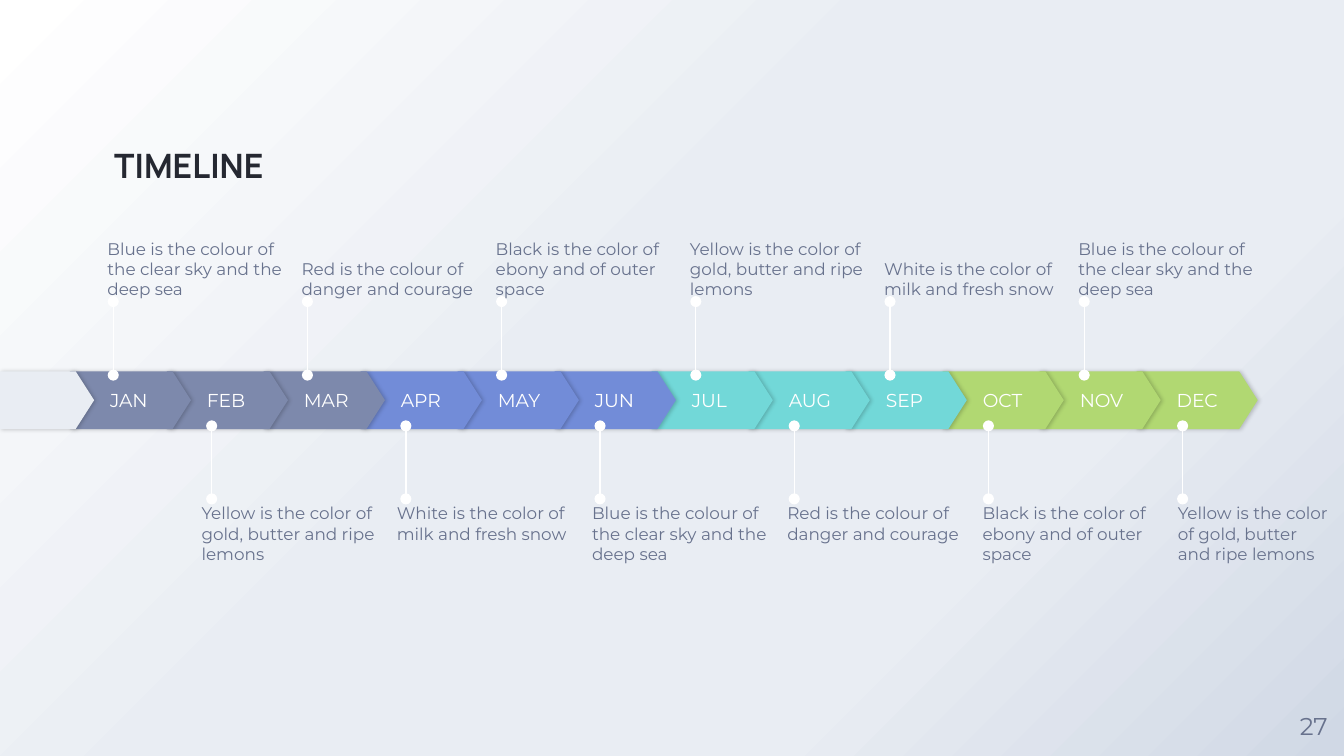
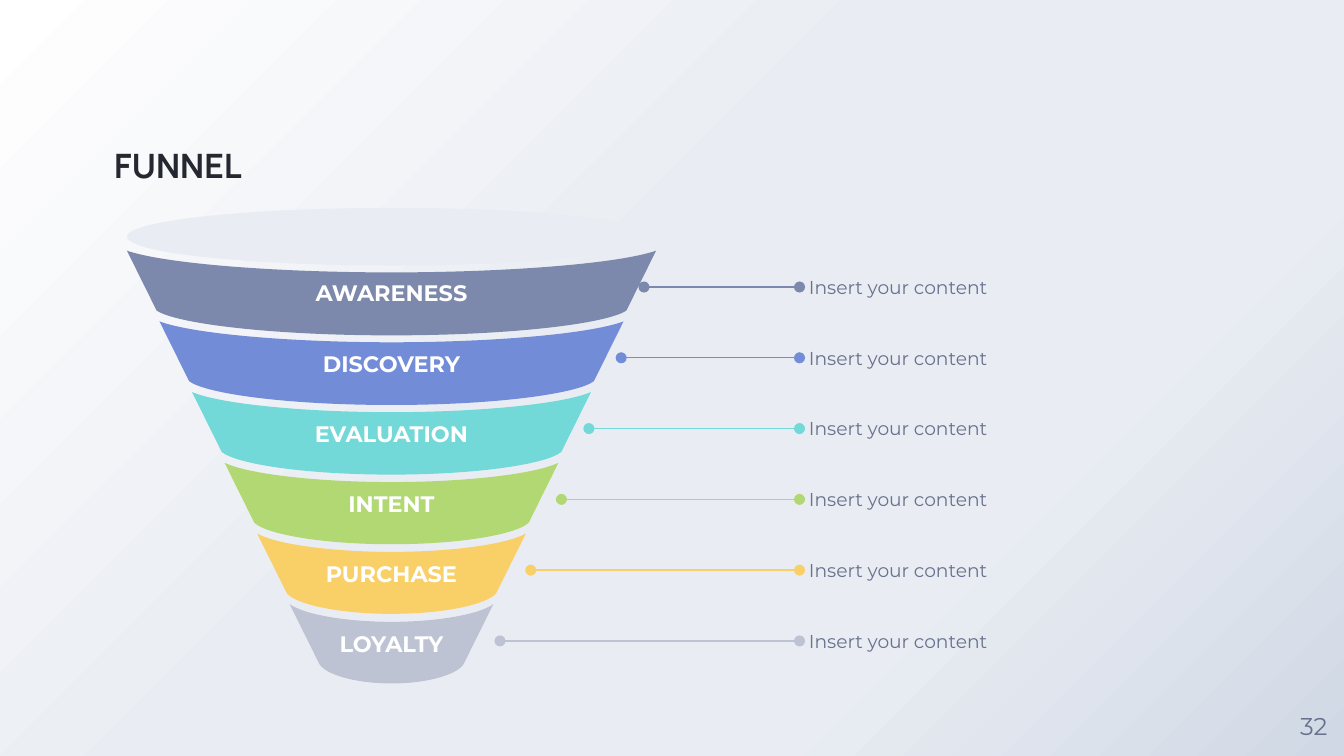
from dataclasses import dataclass

from pptx import Presentation
from pptx.dml.color import RGBColor
from pptx.enum.shapes import MSO_CONNECTOR as Connector, MSO_SHAPE as Preset
from pptx.enum.text import MSO_ANCHOR as Anchor, PP_ALIGN as Align
from pptx.oxml import parse_xml
from pptx.oxml.ns import nsdecls
from pptx.util import Cm, Pt


@dataclass(frozen=True)
class Theme:
    heading_font: str = "Manrope"
    body_font: str = "Montserrat"
    ink: str = "252831"
    muted: str = "68728D"
    white: str = "FFFFFF"
    mist: str = "E9EDF3"
    haze: str = "D0D8E5"
    slate: str = "7D89AC"
    blue: str = "728CD8"
    teal: str = "72D8D8"
    green: str = "B1D872"
    yellow: str = "F8D067"
    silver: str = "BDC3D3"
    title_size: float = 18
    number_size: float = 13
    stage_size: float = 12
    label_size: float = 10
    caption_size: float = 9
    line_width: float = 0.75


@dataclass(frozen=True)
class Box:
    """Left, top, width and height in centimetres."""
    left: float
    top: float
    width: float
    height: float

    def lengths(self):
        return Cm(self.left), Cm(self.top), Cm(self.width), Cm(self.height)


THEME = Theme()
PAGE = Box(0, 0, 25.4, 14.29)

MONTHS = ["JAN", "FEB", "MAR", "APR", "MAY", "JUN",
          "JUL", "AUG", "SEP", "OCT", "NOV", "DEC"]
QUARTER_COLOURS = [THEME.slate, THEME.blue, THEME.teal, THEME.green]
BLUE = "Blue is the colour of the clear sky and the deep sea"
YELLOW = "Yellow is the color of gold, butter and ripe lemons"
RED = "Red is the colour of danger and courage"
WHITE = "White is the color of milk and fresh snow"
BLACK = "Black is the color of ebony and of outer space"
UPPER_CAPTIONS = [BLUE, RED, BLACK, YELLOW, WHITE, BLUE]
LOWER_CAPTIONS = [YELLOW, WHITE, BLUE, RED, BLACK, YELLOW]

# stage, colour, length of its leader line
STAGES = [
    ("AWARENESS", THEME.slate, 2.94),
    ("DISCOVERY", THEME.blue, 3.37),
    ("EVALUATION", THEME.teal, 3.98),
    ("INTENT", THEME.green, 4.5),
    ("PURCHASE", THEME.yellow, 5.08),
    ("LOYALTY", THEME.silver, 5.66),
]


def rgb(colour):
    return RGBColor.from_string(colour)


def write(shape, text, size, colour, font=THEME.body_font, bold=False,
          align=Align.LEFT, anchor=Anchor.MIDDLE, inset=0):
    frame = shape.text_frame
    frame.text = text
    frame.word_wrap = True
    frame.vertical_anchor = anchor
    frame.margin_left = Cm(inset)
    frame.margin_top = frame.margin_right = frame.margin_bottom = 0
    paragraph = frame.paragraphs[0]
    paragraph.alignment = align
    for run in paragraph.runs:
        run.font.name = font
        run.font.size = Pt(size)
        run.font.bold = bold
        run.font.color.rgb = rgb(colour)


def add_text(slide, box, text, size, colour, **style):
    write(slide.shapes.add_textbox(*box.lengths()), text, size, colour, **style)


def paint(shape, colour):
    shape.shadow.inherit = False
    shape.fill.solid()
    shape.fill.fore_color.rgb = rgb(colour)
    shape.line.fill.background()


def add_leader(slide, start, end, colour):
    """Thin line with a dot at each end."""
    leader = slide.shapes.add_connector(
        Connector.STRAIGHT, *(Cm(value) for value in (*start, *end)))
    leader.line.color.rgb = rgb(colour)
    leader.line.width = Pt(THEME.line_width)
    outline = leader.element.spPr.find("{*}ln")
    for tag in ("headEnd", "tailEnd"):
        outline.append(parse_xml(f'<a:{tag} {nsdecls("a")} type="oval"/>'))
    leader.element.spPr.append(parse_xml(f'<a:effectLst {nsdecls("a")}/>'))


def add_background(slide):
    stops = [(0, THEME.white), (44, THEME.mist), (72, THEME.mist), (100, THEME.haze)]
    stops_xml = "".join(
        f'<a:gs pos="{position * 1000}"><a:srgbClr val="{colour}"/></a:gs>'
        for position, colour in stops)
    slide.element.cSld.insert(0, parse_xml(
        f'<p:bg {nsdecls("p", "a")}><p:bgPr><a:gradFill rotWithShape="1">'
        f'<a:gsLst>{stops_xml}</a:gsLst><a:path path="circle">'
        '<a:fillToRect r="100000" b="100000"/></a:path></a:gradFill>'
        '<a:effectLst/></p:bgPr></p:bg>'))


def add_page(deck, title, number):
    slide = deck.slides.add_slide(deck.slide_layouts[6])
    add_background(slide)
    add_text(slide, Box(2.16, 1.12, 9.96, 2.39), title, THEME.title_size, THEME.ink,
             font=THEME.heading_font, bold=True, anchor=Anchor.BOTTOM)
    side = 1.14
    add_text(slide, Box(PAGE.width - side, PAGE.height - side, side, side), str(number),
             THEME.number_size, THEME.muted, align=Align.CENTER)
    return slide


def add_arrow(slide, box, colour):
    arrow = slide.shapes.add_shape(Preset.PENTAGON, *box.lengths())
    arrow.adjustments[0] = 0.32
    paint(arrow, colour)
    effects = arrow.element.spPr.find("{*}effectLst")
    effects.append(parse_xml(
        f'<a:outerShdw {nsdecls("a")} blurRad="{Pt(2.2)}" dist="{Pt(0.8)}" dir="0" '
        'algn="l" rotWithShape="0"><a:srgbClr val="000000"><a:alpha val="20000"/>'
        '</a:srgbClr></a:outerShdw>'))
    return arrow


def add_month_band(slide, band):
    """Arrows overlap, so the earlier month is drawn over the later one."""
    first, arrow_width = 1.32, 2.29
    pitch = (band.width - first - arrow_width) / (len(MONTHS) - 1)
    for index, month in reversed(list(enumerate(MONTHS))):
        box = Box(band.left + first + index * pitch, band.top, arrow_width, band.height)
        arrow = add_arrow(slide, box, QUARTER_COLOURS[index // 3])
        write(arrow, month, THEME.label_size, THEME.white, inset=0.76)
    add_arrow(slide, Box(band.left, band.top, 1.78, band.height), THEME.mist)


def add_captions(slide, row, captions, pitch, first_pin, pin_span, anchor):
    """Row of captions from the box's left edge, each with a pin to the band."""
    pin_pitch, caption_width = 3.67, 3.48
    for index, caption in enumerate(captions):
        pin = first_pin + index * pin_pitch
        add_leader(slide, (pin, pin_span[0]), (pin, pin_span[1]), THEME.white)
        left = row.left + index * pitch
        width = min(caption_width, row.left + row.width - left)
        add_text(slide, Box(left, row.top, width, row.height), caption,
                 THEME.caption_size, THEME.muted, anchor=anchor)


def build_timeline(deck):
    slide = add_page(deck, "TIMELINE", 27)
    add_month_band(slide, Box(0, 7.02, 23.77, 1.09))
    add_captions(slide, Box(2.03, 4.18, 21.85, 1.47), UPPER_CAPTIONS, pitch=3.67,
                 first_pin=2.14, pin_span=(7.09, 5.7), anchor=Anchor.BOTTOM)
    add_captions(slide, Box(3.81, 9.51, 21.31, 1.47), LOWER_CAPTIONS, pitch=3.69,
                 first_pin=4, pin_span=(9.43, 8.05), anchor=Anchor.TOP)


def bowl_edge(middle, top, half_width, sag, outer, inner, lift):
    """Two mirrored Bezier curves from left to right: seven points with controls."""
    left = [(-half_width, 0), (-half_width * outer, sag * lift), (-half_width * inner, sag)]
    right = [(-x, y) for x, y in reversed(left)]
    return [(Cm(middle + x), Cm(top + y)) for x, y in left + [(0, sag)] + right]


def bend(outline, first):
    """Turn the three line segments from index first into one Bezier curve."""
    segments = outline[first:first + 3]
    curve = parse_xml(f'<a:cubicBezTo {nsdecls("a")}/>')
    outline.insert(first, curve)
    for segment in segments:
        curve.append(segment[0])
        outline.remove(segment)


def add_stage(shapes, middle, top, index, name, colour):
    half_width = 5 - 0.615 * index
    height = 1.6 - 0.02 * index
    side = 1.13
    upper = bowl_edge(middle, top, half_width, 0.41 - 0.015 * index,
                      outer=0.85, inner=0.42, lift=0.62)
    lower = bowl_edge(middle, top + side, half_width - 0.56, height - side,
                      outer=0.92, inner=0.52, lift=0.52)
    builder = shapes.build_freeform(*upper[0], scale=1.0)
    builder.add_line_segments(lower + upper[::-1], close=True)
    stage = builder.convert_to_shape()
    outline = next(stage.element.iter("{*}moveTo")).getparent()
    # after the start come: side, two lower curves, side, two upper curves
    for first in (2, 3, 5, 6):
        bend(outline, first)
    paint(stage, colour)
    write(stage, name, THEME.stage_size, THEME.white, bold=True, align=Align.CENTER)


def add_funnel(slide, box):
    funnel = slide.shapes.add_group_shape().shapes
    rim_height, first, last_height = 1.09, 0.81, 1.5
    pitch = (box.height - first - last_height) / (len(STAGES) - 1)
    for index, (name, colour, _) in enumerate(STAGES):
        add_stage(funnel, box.left + box.width / 2, box.top + first + index * pitch,
                  index, name, colour)
    rim = Box(box.left, box.top, box.width, rim_height)
    paint(funnel.add_shape(Preset.OVAL, *rim.lengths()), THEME.mist)


def add_stage_notes(slide, box):
    """Text rows in the box, each with a leader line reaching left to its stage."""
    row_height = 0.97
    pitch = (box.height - row_height) / (len(STAGES) - 1)
    line_end = box.left - 0.18
    for index, (_, colour, length) in enumerate(STAGES):
        top = box.top + index * pitch
        middle = top + row_height / 2
        add_leader(slide, (line_end - length, middle), (line_end, middle), colour)
        add_text(slide, Box(box.left, top, box.width, row_height), "Insert your content",
                 THEME.label_size, THEME.muted)


def build_funnel(deck):
    slide = add_page(deck, "FUNNEL", 32)
    add_funnel(slide, Box(2.4, 3.93, 10, 8.99))
    add_stage_notes(slide, Box(15.29, 4.94, 7.75, 7.66))


def main():
    deck = Presentation()
    deck.slide_width, deck.slide_height = Cm(PAGE.width), Cm(PAGE.height)
    build_timeline(deck)
    build_funnel(deck)
    deck.save("out.pptx")


if __name__ == "__main__":
    main()
